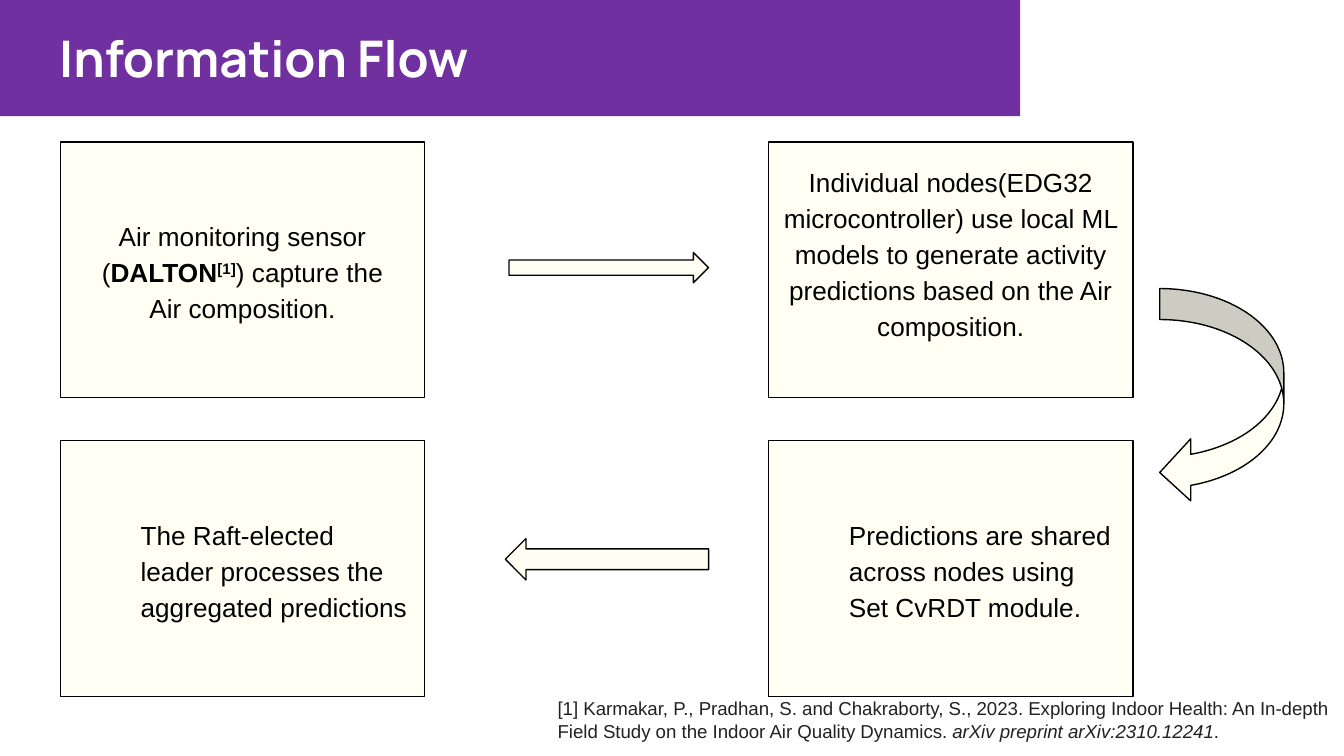
from pptx import Presentation
from pptx.dml.color import RGBColor
from pptx.enum import shapes, text
from pptx.util import Pt

THEME = {
    "banner": RGBColor.from_string("7030A0"),
    "cream": RGBColor.from_string("FFFFF3"),
    "ink": RGBColor.from_string("000000"),
    "title": {"name": "Manrope", "size": Pt(27), "bold": True,
              "color": RGBColor.from_string("FFFFFF")},
    "step": {"name": "Arial", "size": Pt(14),
             "color": RGBColor.from_string("000000")},
    "citation": {"name": "Arial", "size": Pt(10),
                 "color": RGBColor.from_string("222222")},
}
INSET = Pt(7.2)


def add_part(kind, left, top, width, height, fill, line=None):
    part = slide.shapes.add_shape(kind, Pt(left), Pt(top), Pt(width), Pt(height))
    part.shadow.inherit = False
    part.fill.solid()
    part.fill.fore_color.rgb = fill
    if line is None:
        part.line.fill.background()
    else:
        part.line.color.rgb = line
        part.line.width = Pt(0.75)
    return part


def write(frame, pieces, style, anchor, align=text.PP_ALIGN.LEFT):
    """Fill one paragraph from (wording, extra format) pieces; None breaks the line."""
    settings = {"word_wrap": True, "auto_size": text.MSO_AUTO_SIZE.NONE,
                "vertical_anchor": anchor, "margin_left": INSET, "margin_right": INSET,
                "margin_top": INSET, "margin_bottom": INSET}
    for key, value in settings.items():
        setattr(frame, key, value)
    paragraph = frame.paragraphs[0]
    paragraph.alignment = align
    for wording, extra in pieces:
        if wording is None:
            paragraph.add_line_break()
            continue
        run = paragraph.add_run()
        run.text = wording
        for key, value in {**style, **extra}.items():
            if key == "color":
                run.font.color.rgb = value
            elif key == "baseline":
                run._r.get_or_add_rPr().set("baseline", value)
            else:
                setattr(run.font, key, value)
    return paragraph


prs = Presentation()
prs.slide_width, prs.slide_height = Pt(720), Pt(405)
slide = prs.slides.add_slide(prs.slide_layouts[5])

# Title on its banner; the banner goes behind the placeholder
banner = add_part(shapes.MSO_SHAPE.RECTANGLE, 0, -5, 546.5, 67.3, THEME["banner"])
slide.shapes._spTree.insert(2, banner._element)
title = slide.shapes.title
title.left, title.top, title.width, title.height = Pt(24.5), Pt(5), Pt(671), Pt(49)
write(title.text_frame, [("Information Flow", {})], THEME["title"],
      text.MSO_ANCHOR.BOTTOM)

# Four steps: the upper two are centred, the lower two are indented
LEFT_COLUMN, RIGHT_COLUMN = 32.3, 411.7
UPPER_ROW, LOWER_ROW = 76, 236
steps = [
    (LEFT_COLUMN, UPPER_ROW, 0, [
        ("Air monitoring sensor (", {}), ("DALTON", {"bold": True}),
        ("[1]", {"bold": True, "baseline": "30000"}), (") capture the", {}),
        (None, {}), ("Air composition.", {})]),
    (RIGHT_COLUMN, UPPER_ROW, 19, [
        ("Individual nodes(EDG32 microcontroller) use local ML models to generate "
         "activity predictions based on the Air composition.", {})]),
    (RIGHT_COLUMN, LOWER_ROW, 0, [
        ("Predictions are shared across nodes using Set CvRDT module.", {})]),
    (LEFT_COLUMN, LOWER_ROW, 0, [
        ("The Raft-elected leader processes the aggregated predictions", {})]),
]
for left, top, lift, pieces in steps:
    step = add_part(shapes.MSO_SHAPE.RECTANGLE, left, top, 195.3, 137,
                    THEME["cream"], THEME["ink"])
    upper = top == UPPER_ROW
    paragraph = write(step.text_frame, pieces, THEME["step"], text.MSO_ANCHOR.MIDDLE,
                      text.PP_ALIGN.CENTER if upper else text.PP_ALIGN.LEFT)
    paragraph.line_spacing = 1.15
    step.text_frame.margin_bottom = INSET + Pt(lift)
    if not upper:
        properties = paragraph._p.get_or_add_pPr()
        properties.set("marL", str(Pt(36)))
        properties.set("indent", "0")

# Block arrows from step to step
arrows = [
    (shapes.MSO_SHAPE.RIGHT_ARROW, 272.7, 135.3, 106.9, 16.2),
    (shapes.MSO_SHAPE.CURVED_LEFT_ARROW, 621.3, 154.6, 66.5, 115.2),
    (shapes.MSO_SHAPE.LEFT_ARROW, 270.7, 288.5, 108.9, 22.2),
]
for kind, left, top, width, height in arrows:
    add_part(kind, left, top, width, height, THEME["cream"], THEME["ink"])

# Citation
citation = slide.shapes.add_textbox(Pt(291.6), Pt(366.4), Pt(428.4), Pt(38.6))
write(citation.text_frame, [
    ("[1] Karmakar, P., Pradhan, S. and Chakraborty, S., 2023. Exploring Indoor Health: "
     "An In-depth Field Study on the Indoor Air Quality Dynamics. ", {}),
    ("arXiv preprint arXiv:2310.12241", {"italic": True}),
    (".", {}),
], THEME["citation"], text.MSO_ANCHOR.TOP)

prs.save("out.pptx")
